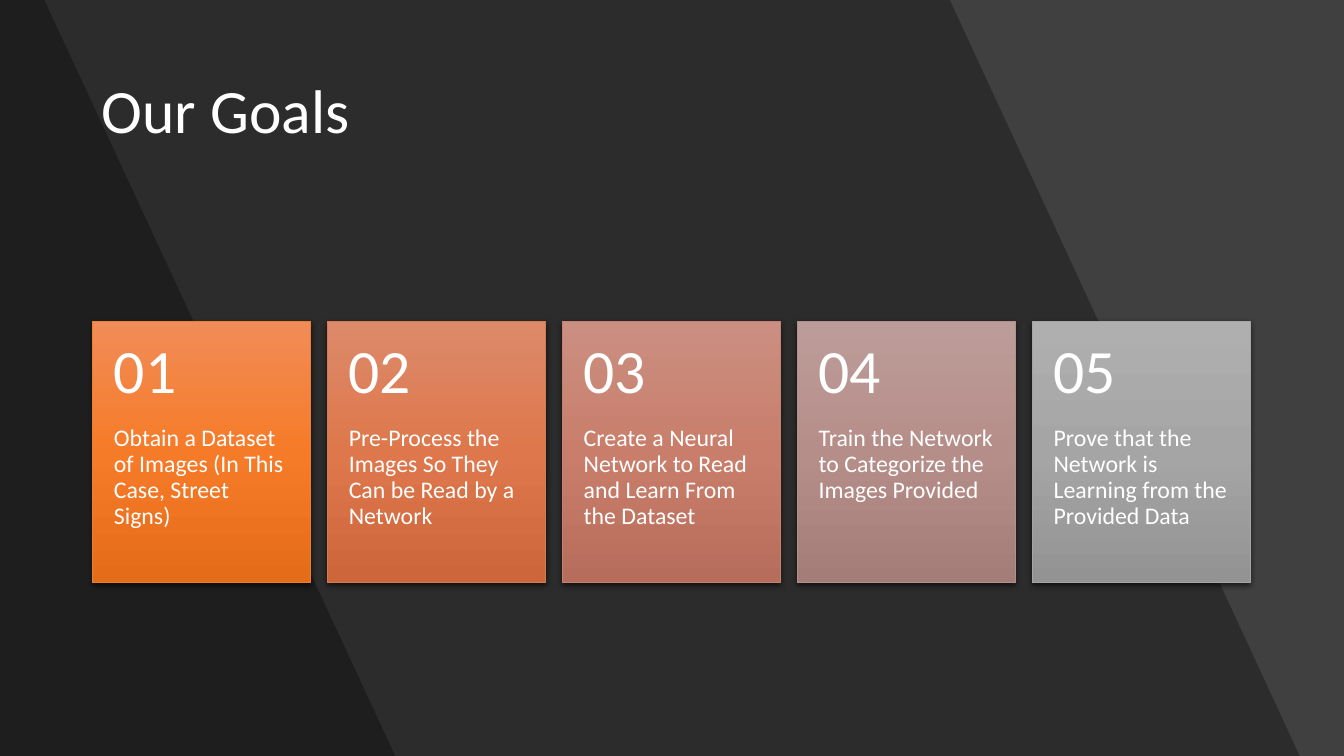
import copy
import dataclasses

import pptx
import pptx.dml.color
import pptx.enum.shapes
import pptx.enum.text
import pptx.oxml
import pptx.oxml.ns
import pptx.util

Inches = pptx.util.Inches
Pt = pptx.util.Pt
rgb = pptx.dml.color.RGBColor.from_string
qn = pptx.oxml.ns.qn
Anchor = pptx.enum.text.MSO_ANCHOR


@dataclasses.dataclass(frozen=True)
class Theme:
    font: str = "Calibri"
    background: str = "404040"
    band: str = "000000"
    text: str = "FFFFFF"
    heading_size: int = 44
    body_size: int = 17
    # Top, middle and bottom of each card's gradient, then its outline
    cards: tuple = (
        ("F18C57", "F67B28", "E56C19", "ED7D31"),
        ("DD8A6A", "DE774B", "CD673B", "D87A51"),
        ("CB8F81", "C97E6B", "B76D5B", "C48170"),
        ("BC9C99", "B68E89", "A47C78", "B4908B"),
        ("AFAFAF", "A5A5A5", "939393", "A5A5A5"),
    )


theme = Theme()


def write(shape, text, size, anchor, margins):
    """Fill a shape with one left-aligned paragraph; margins run left, top, right, bottom."""
    frame = shape.text_frame
    frame.text = text
    frame.word_wrap = True
    frame.auto_size = pptx.enum.text.MSO_AUTO_SIZE.NONE
    frame.vertical_anchor = anchor
    (frame.margin_left, frame.margin_top,
     frame.margin_right, frame.margin_bottom) = map(Inches, margins)
    para = frame.paragraphs[0]
    para.alignment = pptx.enum.text.PP_ALIGN.LEFT
    para.line_spacing = 0.9
    para.font.name = theme.font
    para.font.size = Pt(size)
    para.font.color.rgb = rgb(theme.text)


deck = pptx.Presentation()
deck.slide_width = Inches(13.33)
deck.slide_height = Inches(7.5)
page = deck.slides.add_slide(deck.slide_layouts[5])
page.background.fill.solid()
page.background.fill.fore_color.rgb = rgb(theme.background)

# Slanted background bands: right edge at the top and at the bottom
for top_edge, bottom_edge in ((9.42, 12.89), (0.44, 3.92)):
    outline = page.shapes.build_freeform(0, 0)
    outline.add_line_segments([
        (Inches(top_edge), 0),
        (Inches(bottom_edge), Inches(7.5)),
        (0, Inches(7.5)),
    ])
    band = outline.convert_to_shape()
    band.shadow.inherit = False
    band.line.fill.background()
    band.fill.solid()
    band.fill.fore_color.rgb = rgb(theme.band)
    band_color = band._element.spPr.find(".//" + qn("a:srgbClr"))
    band_color.append(pptx.oxml.parse_xml(
        f'<a:alpha {pptx.oxml.ns.nsdecls("a")} val="30000"/>'))

title = page.shapes.title
title.left, title.top = Inches(0.91), Inches(0.4)
title.width, title.height = Inches(11.51), Inches(1.45)
write(title, "Our Goals", theme.heading_size, Anchor.MIDDLE, (0.1, 0.05, 0.1, 0.05))
# Keep the title in front of the bands
page.shapes._spTree.append(title._element)

goals = (
    "Obtain a Dataset of Images (In This Case, Street Signs)",
    "Pre-Process the Images So They Can be Read by a Network",
    "Create a Neural Network to Read and Learn From the Dataset",
    "Train the Network to Categorize the Images Provided",
    "Prove that the Network is Learning from the Provided Data",
)
card_left, card_top, card_pitch = 0.92, 3.19, 2.33
card_width, card_height, number_height = Inches(2.16), Inches(2.59), Inches(1.04)
cards = page.shapes.add_group_shape().shapes

for index, (goal, colors) in enumerate(zip(goals, theme.cards)):
    left, top = Inches(card_left + index * card_pitch), Inches(card_top)
    card = cards.add_shape(
        pptx.enum.shapes.MSO_SHAPE.RECTANGLE, left, top, card_width, card_height)
    card.fill.gradient()
    card.fill.gradient_angle = 270
    stop_list = card._element.spPr.find(".//" + qn("a:gsLst"))
    stop_list.append(copy.deepcopy(stop_list[-1]))
    for stop, position, color in zip(card.fill.gradient_stops, (0, 0.5, 1), colors):
        stop.position = position
        stop.color.rgb = rgb(color)
    card.line.color.rgb = rgb(colors[-1])
    card.line.width = Pt(0.5)

    card.shadow.inherit = False
    card._element.spPr.find(qn("a:effectLst")).append(pptx.oxml.parse_xml(
        f'<a:outerShdw {pptx.oxml.ns.nsdecls("a")} blurRad="{Pt(4.5)}" dist="{Pt(1.5)}"'
        ' dir="5400000" algn="ctr" rotWithShape="0">'
        '<a:srgbClr val="000000"><a:alpha val="63000"/></a:srgbClr></a:outerShdw>'))

    goal_box = cards.add_textbox(
        left, top + number_height, card_width, card_height - number_height)
    write(goal_box, goal, theme.body_size, Anchor.TOP, (0.21, 0, 0.21, 0.36))
    number_box = cards.add_textbox(left, top, card_width, number_height)
    write(number_box, f"{index + 1:02}", theme.heading_size, Anchor.MIDDLE,
          (0.21, 0.18, 0.21, 0.18))

deck.save("out.pptx")
